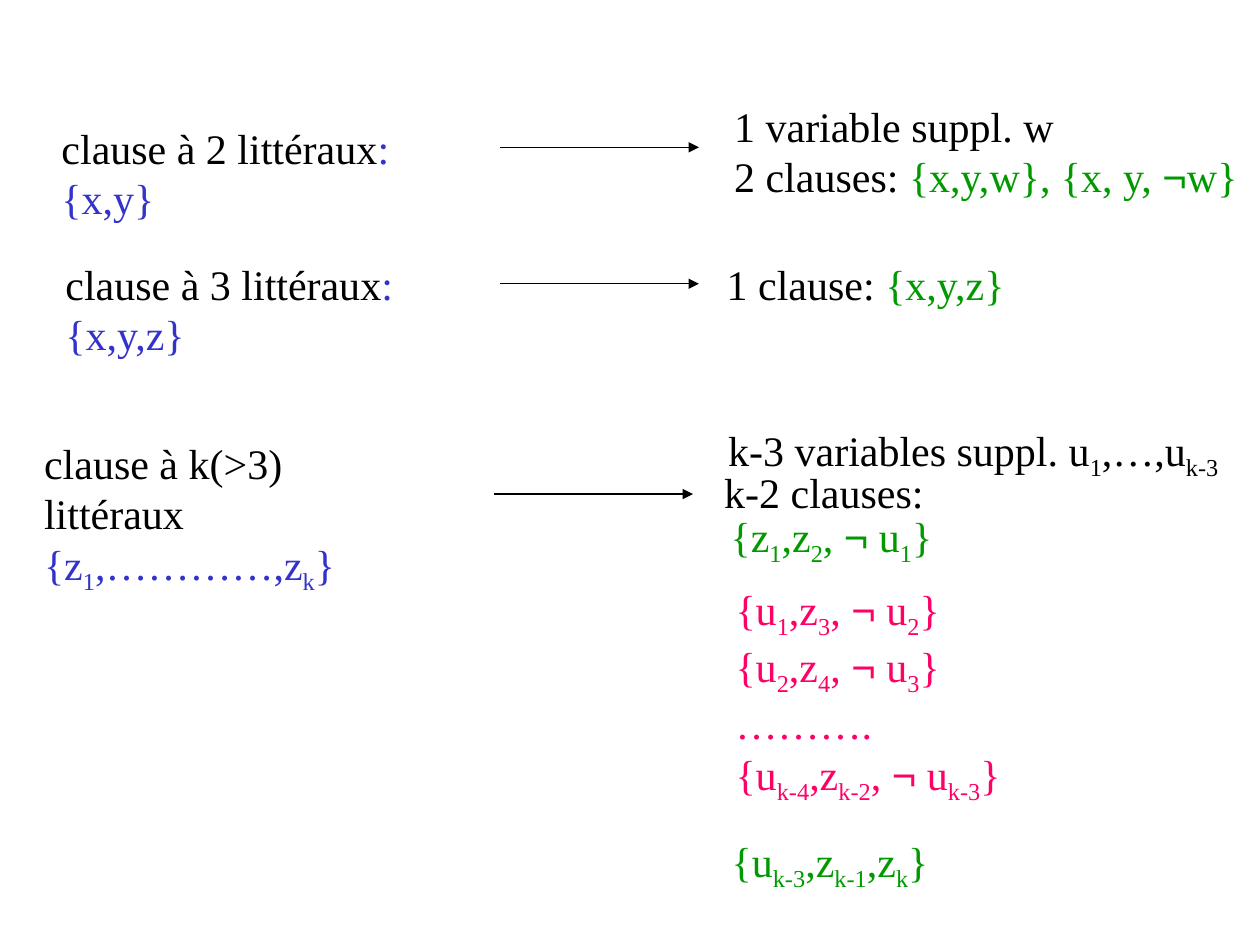
import itertools
import pptx
import pptx.util
import pptx.dml.color
import pptx.enum.shapes
import pptx.enum.text
import pptx.oxml.ns
from lxml import etree

Cm = pptx.util.Cm
Pt = pptx.util.Pt
RGB = pptx.dml.color.RGBColor
BLACK = RGB(0, 0, 0)
BLUE = RGB(0x33, 0x33, 0xCC)
GREEN = RGB(0, 0x99, 0)
PINK = RGB(0xFF, 0, 0x66)
SERIF, SANS = "Times New Roman", "Arial"
REACH = 4.01

# Each rule: arrow start, then boxes as (left, top, width, height), paragraphs.
# Underscores enclose subscripts.
RULES = [
    ((10.08, 2.97), [
        ((0.99, 2.34, 7.11, 2.29), [
            [("clause à 2 littéraux", BLACK), (":", BLUE)],
            [("{x,y}", BLUE)]]),
        ((14.55, 1.9, 10.82, 2.29), [
            [("1 variable suppl. w", BLACK)],
            [("2 clauses: ", BLACK), ("{x,y,w}, {x, y, ¬w}", GREEN)]]),
    ]),
    ((10.08, 5.72), [
        ((1.07, 5.08, 7.11, 2.29), [
            [("clause à 3 littéraux", BLACK), (":", BLUE)],
            [("{x,y,z}", BLUE)]]),
        ((14.4, 5.08, 6.15, 1.27), [
            [("1 clause: ", BLACK), ("{x,y,z}", GREEN)]]),
    ]),
    ((9.96, 9.96), [
        ((0.64, 8.69, 8.33, 2.44), [
            [("clause à k(>3) littéraux", BLACK)],
            [("{z_1_,…………,z_k_}", BLUE)]]),
        ((14.43, 8.43, 10.39, 1.42), [
            [("k-3 variables suppl. u_1_,…,u_k-3_", BLACK)]]),
        ((14.58, 11.63, 5.89, 4.75), [
            [("{u_1_,z_3_, ¬ u_2_}", PINK)],
            [("{u_2_,z_4_, ¬ u_3_}", PINK)],
            [("……….", PINK)],
            [("{u_k-4_,z_k-2_, ¬ u_k-3_}", PINK)]]),
        ((14.48, 10.16, 4.62, 1.42), [[("{z_1_,z_2_, ¬ u_1_}", GREEN)]]),
        ((14.5, 16.71, 4.47, 1.42), [[("{u_k-3_,z_k-1_,z_k_}", GREEN)]]),
        ((14.35, 9.27, 4.52, 1.27), [[("k-2 clauses:", BLACK)]]),
    ]),
]


def write(para, text, color):
    for i, part in enumerate(text.split("_")):
        for sign, chars in itertools.groupby(part, lambda c: c == "¬"):
            run = para.add_run()
            run.text = "".join(chars)
            run.font.size = Pt(24)
            run.font.name = SANS if sign else SERIF
            run.font.color.rgb = color
            if i % 2:
                run._r.get_or_add_rPr().set("baseline", "-25000")


def add_text(shapes, place, lines):
    frame = shapes.add_textbox(*map(Cm, place)).text_frame
    frame.word_wrap = False
    frame.auto_size = pptx.enum.text.MSO_AUTO_SIZE.SHAPE_TO_FIT_TEXT
    for i, line in enumerate(lines):
        para = frame.add_paragraph() if i else frame.paragraphs[0]
        for text, color in line:
            write(para, text, color)


def add_arrow(shapes, x, y):
    kind = pptx.enum.shapes.MSO_CONNECTOR.STRAIGHT
    arrow = shapes.add_connector(kind, Cm(x), Cm(y), Cm(x + REACH), Cm(y))
    arrow.line.color.rgb = BLACK
    arrow.line.width = Pt(0.75)
    qn = pptx.oxml.ns.qn
    tip = etree.SubElement(arrow.line._get_or_add_ln(), qn("a:tailEnd"))
    tip.set("type", "triangle")
    etree.SubElement(arrow._element.spPr, qn("a:effectLst"))


def main():
    deck = pptx.Presentation()
    deck.slide_width, deck.slide_height = Cm(25.4), Cm(19.05)
    slide = deck.slides.add_slide(deck.slide_layouts[6])
    for start, boxes in RULES:
        shapes = slide.shapes.add_group_shape().shapes
        add_arrow(shapes, *start)
        for place, lines in boxes:
            add_text(shapes, place, lines)
    deck.save("out.pptx")


if __name__ == "__main__":
    main()
